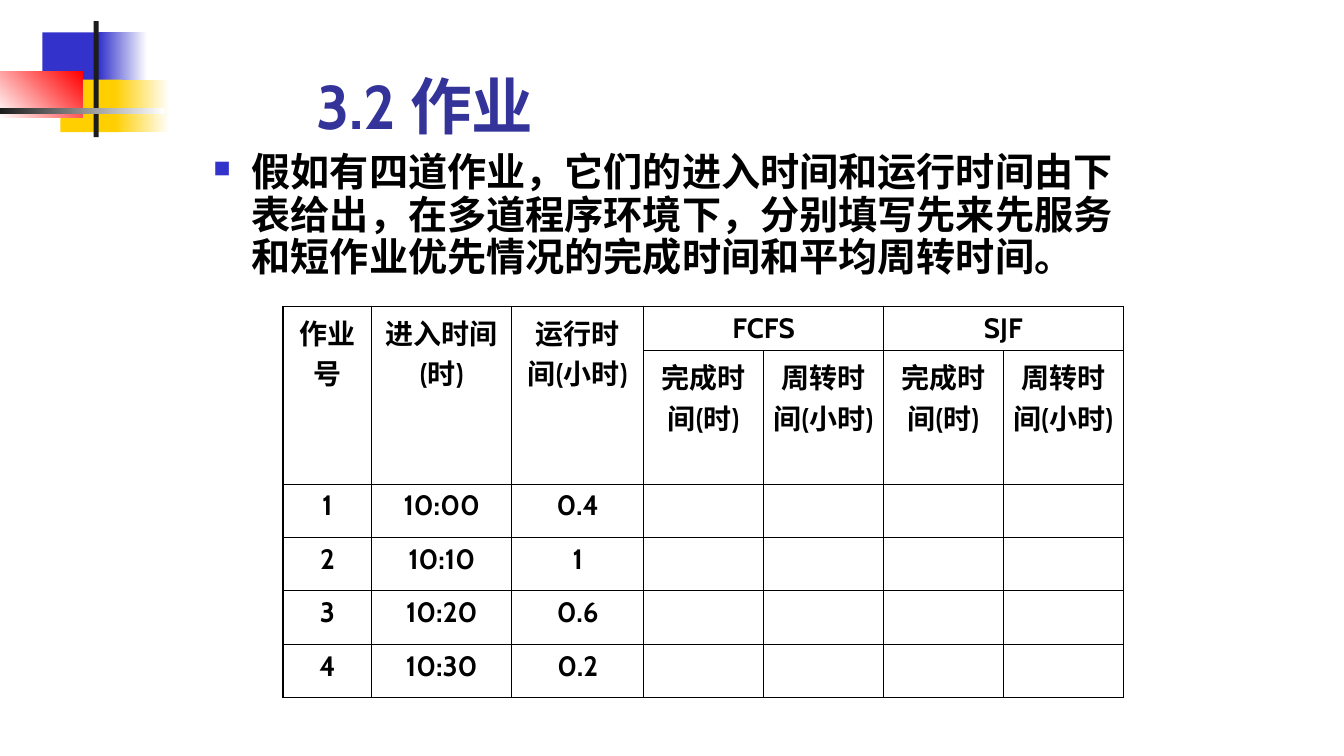
from pptx import Presentation
from pptx.dml.color import RGBColor
from pptx.enum.shapes import MSO_SHAPE
from pptx.enum.text import MSO_ANCHOR, PP_ALIGN
from pptx.oxml import parse_xml
from pptx.oxml.ns import nsdecls
from pptx.util import Inches, Pt

RECTANGLE = MSO_SHAPE.RECTANGLE
TOP, BOTTOM = MSO_ANCHOR.TOP, MSO_ANCHOR.BOTTOM
CENTER = PP_ALIGN.CENTER

BLUE = RGBColor(0x33, 0x33, 0xCC)
TITLE_BLUE = RGBColor(0x33, 0x33, 0x99)
YELLOW = RGBColor(0xFF, 0xCF, 0x01)
RED = RGBColor(0xFF, 0x00, 0x00)
CHARCOAL = RGBColor(0x1C, 0x1C, 0x1C)
BLACK = RGBColor(0x00, 0x00, 0x00)
WHITE = RGBColor(0xFF, 0xFF, 0xFF)

FONT = "Cabin"
OUTER_BORDER, INNER_BORDER = Pt(1.08), Pt(0.45)

# left, top, width, height, start colour, end colour, counter-clockwise angle
ORNAMENT = [
    (0.42, 0.32, 0.64, 0.52, BLUE, BLUE, 0),
    (0.98, 0.32, 0.48, 0.52, BLUE, WHITE, 0),
    (0.6, 0.79, 0.61, 0.52, YELLOW, YELLOW, 0),
    (1.14, 0.79, 0.54, 0.52, YELLOW, WHITE, 0),
    (0, 0.71, 0.82, 0.46, WHITE, RED, 45),
    (0.93, 0.21, 0.05, 1.15, CHARCOAL, CHARCOAL, 0),
    (0, 1.07, 1.63, 0.06, CHARCOAL, WHITE, 0),
]

QUESTION = (
    "假如有四道作业，它们的进入时间和运行时间由下表给出，"
    "在多道程序环境下，分别填写先来先服务和短作业优先情况的"
    "完成时间和平均周转时间。"
)

COLUMN_WIDTHS = [0.88, 1.39, 1.31] + [1.19] * 4
ROW_HEIGHTS = [0.44, 1.32] + [0.53] * 4
RESULT_HEADERS = ["完成时间(时)", "周转时间(小时)"]
JOB_ROWS = [
    ["作业号", "进入时间(时)", "运行时间(小时)", "FCFS", "", "SJF", ""],
    ["", "", ""] + RESULT_HEADERS * 2,
    ["1", "10:00", "0.4"] + [""] * 4,
    ["2", "10:10", "1"] + [""] * 4,
    ["3", "10:20", "0.6"] + [""] * 4,
    ["4", "10:30", "0.2"] + [""] * 4,
]
# first row, first column, last row, last column
MERGES = [(0, column, 1, column) for column in range(3)] + [(0, 3, 0, 4), (0, 5, 0, 6)]


class SlideBuilder:
    def __init__(self, slide, font_name):
        self.slide = slide
        self.font_name = font_name

    def style(self, paragraph, size, color):
        for run in paragraph.runs:
            run.font.name = self.font_name
            run.font.size = Pt(size)
            run.font.bold = True
            run.font.color.rgb = color

    def rectangle(self, left, top, width, height, start, end, angle):
        shape = self.slide.shapes.add_shape(
            RECTANGLE, Inches(left), Inches(top), Inches(width), Inches(height))
        shape.shadow.inherit = False
        shape.line.fill.background()
        if start == end:
            shape.fill.solid()
            shape.fill.fore_color.rgb = start
            return
        shape.fill.gradient()
        shape.fill.gradient_angle = angle
        for stop, color in zip(shape.fill.gradient_stops, (start, end)):
            stop.color.rgb = color

    def text(self, left, top, width, height, text, size, color, anchor=TOP):
        box = self.slide.shapes.add_textbox(
            Inches(left), Inches(top), Inches(width), Inches(height))
        frame = box.text_frame
        frame.word_wrap = True
        frame.vertical_anchor = anchor
        frame.text = text
        paragraph = frame.paragraphs[0]
        self.style(paragraph, size, color)
        return paragraph

    def bullet(self, paragraph, color, percent, indent):
        properties = paragraph._p.get_or_add_pPr()
        properties.set("marL", str(Inches(indent)))
        properties.set("indent", str(-Inches(indent)))
        for element in (
            f'<a:buClr {nsdecls("a")}><a:srgbClr val="{color}"/></a:buClr>',
            f'<a:buSzPct {nsdecls("a")} val="{percent * 1000}"/>',
            f'<a:buChar {nsdecls("a")} char="■"/>',
        ):
            properties.append(parse_xml(element))

    def border(self, cell, side, width):
        cell._tc.get_or_add_tcPr().append(parse_xml(
            f'<a:ln{side} {nsdecls("a")} w="{width}"><a:solidFill>'
            f'<a:srgbClr val="{BLACK}"/></a:solidFill></a:ln{side}>'))

    def table(self, left, top, widths, heights, rows, merges, size):
        table = self.slide.shapes.add_table(
            len(heights), len(widths), Inches(left), Inches(top),
            Inches(sum(widths)), Inches(sum(heights))).table
        table.first_row = False
        table.horz_banding = False
        for column, width in zip(table.columns, widths):
            column.width = Inches(width)
        for row, height in zip(table.rows, heights):
            row.height = Inches(height)
        for first_row, first_column, last_row, last_column in merges:
            table.cell(first_row, first_column).merge(table.cell(last_row, last_column))

        for row_index, row in enumerate(rows):
            for column_index, text in enumerate(row):
                cell = table.cell(row_index, column_index)
                outer_sides = {
                    "L": column_index == 0,
                    "R": column_index + cell.span_width == len(widths),
                    "T": row_index == 0,
                    "B": row_index + cell.span_height == len(heights),
                }
                for side, is_outer in outer_sides.items():
                    self.border(cell, side, OUTER_BORDER if is_outer else INNER_BORDER)
                cell.fill.background()
                if text:
                    cell.text = text
                    paragraph = cell.text_frame.paragraphs[0]
                    paragraph.alignment = CENTER
                    self.style(paragraph, size, BLACK)


def main():
    presentation = Presentation()
    presentation.slide_width = Inches(13.34)
    presentation.slide_height = Inches(7.5)
    slide = presentation.slides.add_slide(presentation.slide_layouts[6])
    builder = SlideBuilder(slide, FONT)

    for block in ORNAMENT:
        builder.rectangle(*block)
    builder.text(3.04, 0.21, 9.34, 1.25, "3.2 作业", 44, TITLE_BLUE, BOTTOM)
    question = builder.text(2.02, 1.47, 9.39, 1.43, QUESTION, 28, BLACK)
    builder.bullet(question, BLUE, 60, 0.38)
    question.line_spacing = 0.9
    builder.table(2.81, 3.04, COLUMN_WIDTHS, ROW_HEIGHTS, JOB_ROWS, MERGES, 20)

    presentation.save("out.pptx")


if __name__ == "__main__":
    main()
